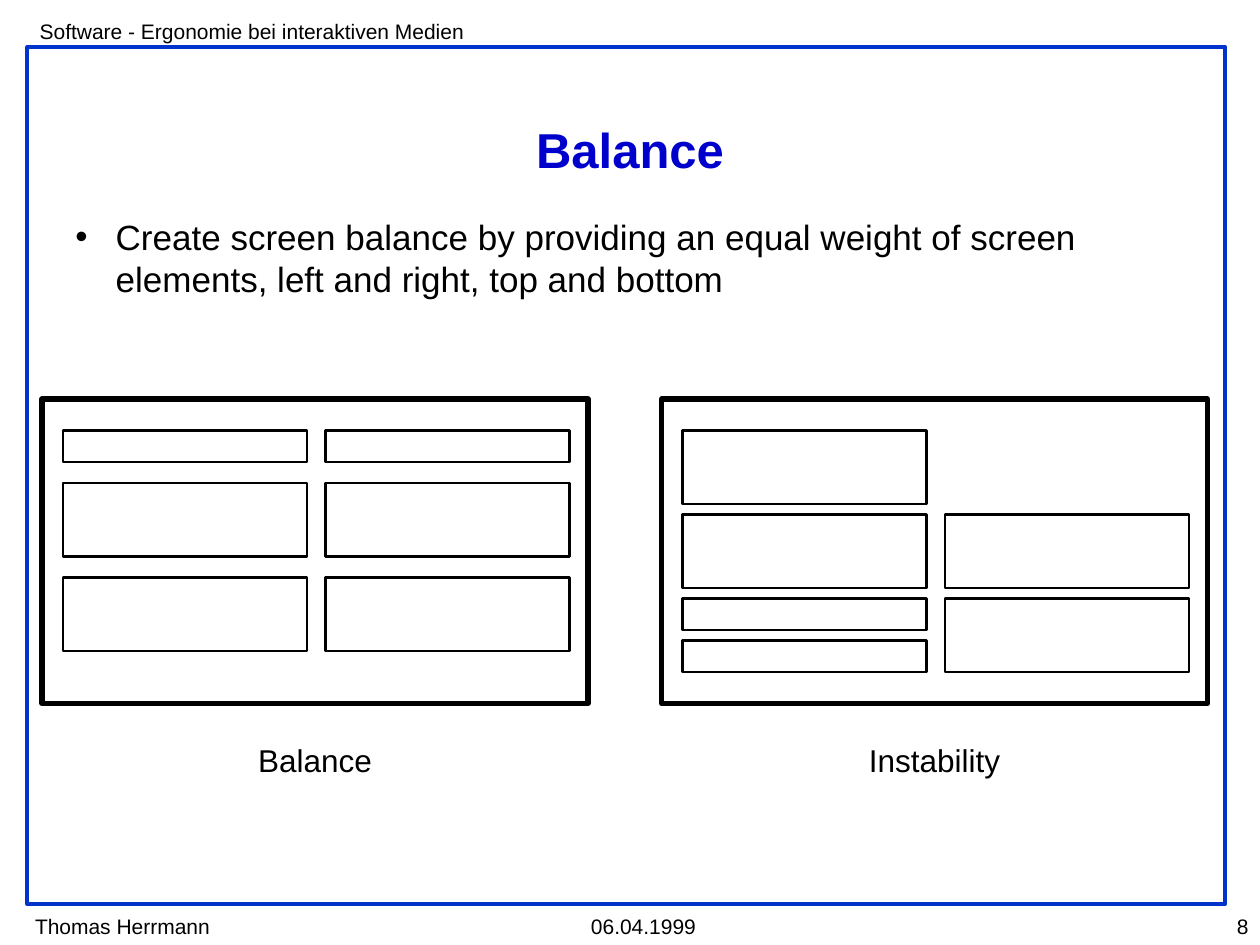
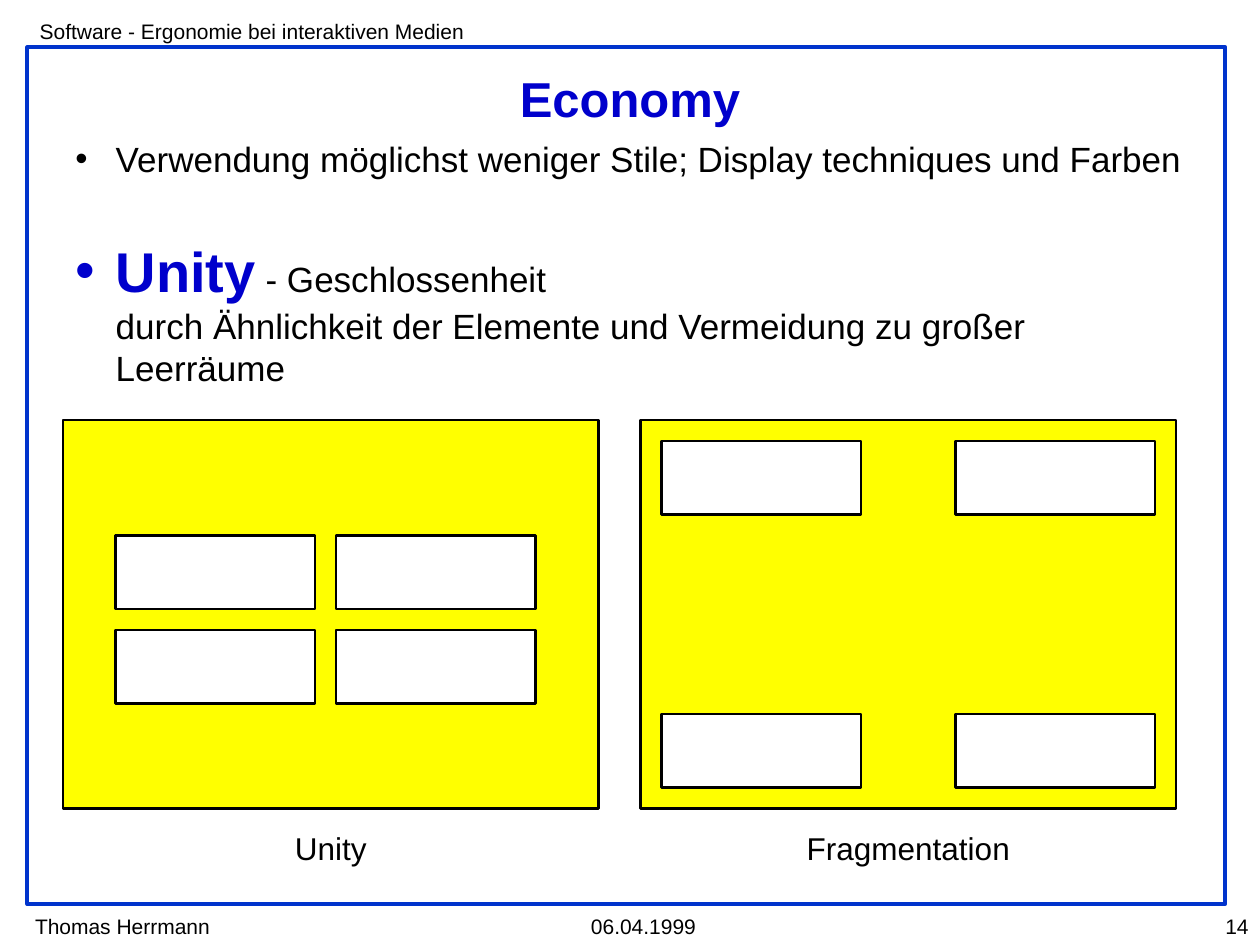
"""Build two slides on screen layout: balance, economy and unity."""
from dataclasses import dataclass

from lxml.etree import SubElement
from pptx import Presentation
from pptx.dml.color import RGBColor as Color
from pptx.enum.shapes import MSO_SHAPE as Preset
from pptx.enum.text import MSO_ANCHOR as Anchor, PP_ALIGN as Align
from pptx.oxml.ns import qn
from pptx.util import Inches, Pt


@dataclass(frozen=True)
class Theme:
    """Hold the colours, font and type sizes of the deck."""
    font: str = "Arial"
    ink: str = "000000"
    paper: str = "FFFFFF"
    accent: str = "0000CC"
    border: str = "0033CC"
    panel: str = "FFFF00"
    small: int = 12
    caption: int = 18
    body: int = 20
    title: int = 28
    keyword: int = 32


THEME = Theme()
COLUMNS, ROWS = 120, 90
WIDTH, HEIGHT = Inches(10), Inches(7.5)
HEADER = "Software - Ergonomie bei interaktiven Medien"
AUTHOR, DATE = "Thomas Herrmann", "06.04.1999"
TEXT_LEFT, TEXT_WIDTH = 6, 108
BREAK = "\n"


def apply(target, **values):
    """Set every given format value on the target."""
    for name, value in values.items():
        setattr(target, name, value)


def grid(left, top, width, height):
    """Turn columns and rows into slide lengths."""
    across, down = WIDTH / COLUMNS, HEIGHT / ROWS
    return [round(n) for n in (left * across, top * down, width * across, height * down)]


def add_rect(shapes, area, fill=THEME.paper, line=THEME.ink, weight=1.5):
    """Draw an outlined rectangle, unfilled when fill is None."""
    rect = shapes.add_shape(Preset.RECTANGLE, *grid(*area))
    rect.shadow.inherit = False
    if fill is None:
        rect.fill.background()
    else:
        rect.fill.solid()
        rect.fill.fore_color.rgb = Color.from_string(fill)
    rect.line.color.rgb = Color.from_string(line)
    rect.line.width = Pt(weight)


def add_span(para, text, size, color=THEME.ink, bold=False):
    """Append one formatted run to a paragraph."""
    span = para.add_run()
    span.text = text
    apply(span.font, name=THEME.font, size=Pt(size), bold=bold)
    span.font.color.rgb = Color.from_string(color)


def add_frame(shapes, area, anchor=Anchor.TOP, inset=(0.1, 0.05)):
    """Add a wrapping text box and return its text frame."""
    frame = shapes.add_textbox(*grid(*area)).text_frame
    side, edge = map(Inches, inset)
    apply(frame, word_wrap=True, vertical_anchor=anchor, margin_left=side,
          margin_right=side, margin_top=edge, margin_bottom=edge)
    return frame


def add_label(shapes, area, text, size, align=Align.LEFT, color=THEME.ink, bold=False, **layout):
    """Add a text box with a single line."""
    para = add_frame(shapes, area, **layout).paragraphs[0]
    para.alignment = align
    add_span(para, text, size, color, bold)


def add_bullet(para, color):
    """Give a paragraph a coloured bullet and a hanging indent."""
    properties = para._p.get_or_add_pPr()
    indent = Inches(0.32)
    properties.set("marL", str(indent))
    properties.set("indent", str(-indent))
    SubElement(SubElement(properties, qn("a:buClr")), qn("a:srgbClr")).set("val", color)
    SubElement(properties, qn("a:buFont")).set("typeface", THEME.font)
    SubElement(properties, qn("a:buChar")).set("char", "•")


def add_bullets(page, top, height, bullets, gap=33):
    """Add the bulleted body, each bullet a list of spans."""
    frame = add_frame(page.shapes, (TEXT_LEFT, top, TEXT_WIDTH, height), anchor=Anchor.MIDDLE)
    for index, spans in enumerate(bullets):
        para = frame.add_paragraph() if index else frame.paragraphs[0]
        if index:
            para.space_before = Pt(gap)
        add_bullet(para, spans[0][2] if len(spans[0]) > 2 else THEME.ink)
        for span in spans:
            if span == BREAK:
                para.add_line_break()
            else:
                add_span(para, *span)


def add_screen(page, area, boxes, caption, gap, **style):
    """Group a sketched screen with its boxes and a caption below."""
    shapes = page.shapes.add_group_shape().shapes
    left, top, width, height = area
    add_rect(shapes, area, **style)
    for column, row, box_width, box_height in boxes:
        add_rect(shapes, (left + column, top + row, box_width, box_height))
    add_label(shapes, (left, top + height + gap, width, 3.6), caption, THEME.caption,
              Align.CENTER, anchor=Anchor.MIDDLE, inset=(0, 0))


def add_page(deck, title, title_top, number):
    """Add a blank page with border, header, footer and title."""
    page = deck.slides.add_slide(deck.slide_layouts[6])
    shapes = page.shapes
    add_rect(shapes, (2.6, 4.5, 114.1, 81.6), None, THEME.border, 2.25)
    footer_top, line_height = 86.4, 3.6
    for left, top, width, text, align in (
        (2.6, 1.2, 44.4, HEADER, Align.LEFT),
        (2.16, footer_top, 24, AUTHOR, Align.LEFT),
        (55.1, footer_top, 16, DATE, Align.LEFT),
        (108.6, footer_top, 11.5, number, Align.RIGHT),
    ):
        add_label(shapes, (left, top, width, line_height), text, THEME.small, align)
    add_label(shapes, (TEXT_LEFT, title_top, TEXT_WIDTH, 6.7), title, THEME.title,
              Align.CENTER, THEME.accent, True, anchor=Anchor.MIDDLE)
    return page


def add_balance(deck):
    """Build the page that sets balance against instability."""
    page = add_page(deck, "Balance", 10.8, "8")
    add_bullets(page, 20, 9.1, [[(
        "Create screen balance by providing an equal weight of screen elements, "
        "left and right, top and bottom", THEME.body)]])
    left, right, width, low, tall = 2, 27, 23.25, 3, 7
    even = [(column, row, width, height) for column in (left, right)
            for row, height in ((3, low), (8, tall), (17, tall))]
    uneven = [(column, row, width, height) for column, row, height in (
        (left, 3, tall), (left, 11, tall), (left, 19, low), (left, 23, low),
        (right, 11, tall), (right, 19, tall))]
    for start, boxes, caption in ((4, even, "Balance"), (63, uneven, "Instability")):
        add_screen(page, (start, 38, 52, 29), boxes, caption, 3.6, weight=3)


def add_economy(deck):
    """Build the page that sets unity against fragmentation."""
    page = add_page(deck, "Economy", 6, "14")
    add_bullets(page, 12.6, 24.8, [
        [("Verwendung möglichst weniger Stile; Display techniques und Farben", THEME.body)],
        [("Unity", THEME.keyword, THEME.accent, True),
         (" - Geschlossenheit", THEME.body), BREAK,
         ("durch Ähnlichkeit der Elemente und Vermeidung zu großer Leerräume", THEME.body)],
    ])
    for start, columns, rows, caption in (
        (6, (5, 26), (11, 20), "Unity"),
        (61, (2, 30), (2, 28), "Fragmentation"),
    ):
        boxes = [(column, row, 19, 7) for row in rows for column in columns]
        add_screen(page, (start, 40, 51, 37), boxes, caption, 2, fill=THEME.panel)


def main():
    """Create the deck and save it."""
    deck = Presentation()
    apply(deck, slide_width=WIDTH, slide_height=HEIGHT)
    add_balance(deck)
    add_economy(deck)
    deck.save("out.pptx")


if __name__ == "__main__":
    main()
